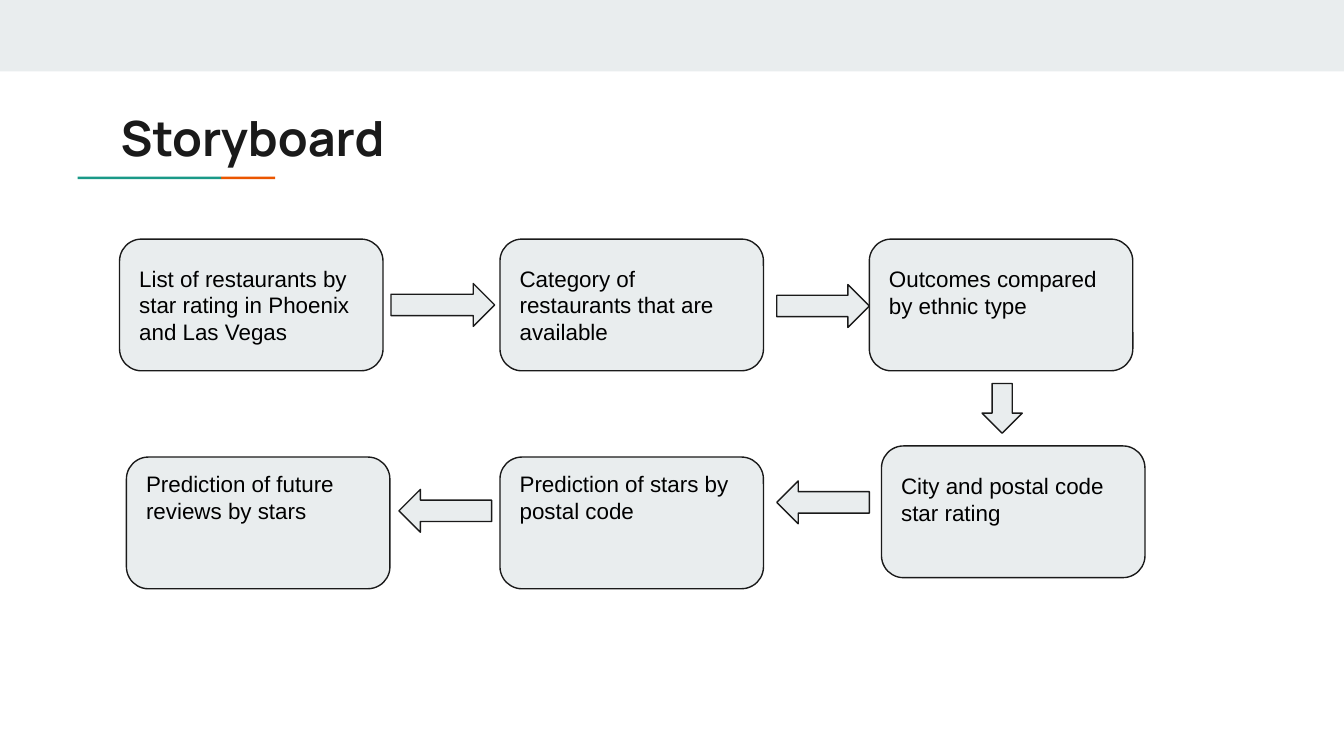
import pptx
import pptx.util
import pptx.dml.color
import pptx.enum.shapes
import pptx.enum.text

Cm, Pt = pptx.util.Cm, pptx.util.Pt
PRESET = pptx.enum.shapes.MSO_SHAPE
COLORS = {"panel": "E9EDEE", "ink": "1A1A1A", "text": "000000",
          "teal": "1A9988", "orange": "EB5600"}


def rgb(name):
    return pptx.dml.color.RGBColor.from_string(COLORS[name])


def add_block(preset, left, top, width, height, fill, outlined=True):
    block = slide.shapes.add_shape(preset, Cm(left), Cm(top), Cm(width), Cm(height))
    block.shadow.inherit = False
    block.fill.solid()
    block.fill.fore_color.rgb = rgb(fill)
    if outlined:
        block.line.color.rgb = rgb("ink")
        block.line.width = Pt(0.75)
    else:
        block.line.fill.background()
    return block


deck = pptx.Presentation()
deck.slide_width, deck.slide_height = Cm(25.4), Cm(14.29)
slide = deck.slides.add_slide(deck.slide_layouts[6])

# Top band and two-colour rule under the title
for left, top, width, height, fill in [
    (0, 0, 25.4, 1.35, "panel"),
    (4.18, 3.34, 1.02, 0.05, "orange"),
    (1.47, 3.34, 2.71, 0.05, "teal"),
]:
    add_block(PRESET.RECTANGLE, left, top, width, height, fill, outlined=False)

# Title
title = slide.shapes.add_textbox(Cm(2.03), Cm(1.8), Cm(21.36), Cm(1.5)).text_frame
title.word_wrap = True
title.margin_left = title.margin_right = Cm(0.25)
title.margin_top = title.margin_bottom = Cm(0.25)
heading = title.paragraphs[0]
heading.text = "Storyboard"
heading.font.name = "Manrope"
heading.font.size = Pt(26)
heading.font.bold = True
heading.font.color.rgb = rgb("ink")

# Steps: left, top, text, lines of room kept free below the text
LINE_HEIGHT = 0.49
steps = [
    (2.26, 4.52, "List of restaurants by star rating in Phoenix and Las Vegas", 0),
    (9.45, 4.52, "Category of restaurants that are available", 0),
    (16.43, 4.52, "Outcomes compared by ethnic type", 1),
    (16.66, 8.43, "City and postal code star rating", 1),
    (9.45, 8.64, "Prediction of stars by postal code", 2),
    (2.39, 8.64, "Prediction of future reviews by stars", 2),
]
for left, top, text, free_lines in steps:
    step = add_block(PRESET.ROUNDED_RECTANGLE, left, top, 4.98, 2.49, "panel").text_frame
    step.word_wrap = True
    step.vertical_anchor = pptx.enum.text.MSO_ANCHOR.MIDDLE
    step.margin_left = step.margin_right = Cm(0.25)
    step.margin_top = 0
    step.margin_bottom = Cm(free_lines * LINE_HEIGHT)
    label = step.paragraphs[0]
    label.text = text
    label.alignment = pptx.enum.text.PP_ALIGN.LEFT
    label.font.name = "Arial"
    label.font.size = Pt(12)
    label.font.color.rgb = rgb("text")

# Arrows from step to step: left, top, width, height, rotation
arrows = [
    (7.39, 5.36, 1.96, 0.81, 0),
    (14.68, 5.38, 1.75, 0.81, 0),
    (18.47, 7.34, 0.94, 0.76, 90),
    (14.68, 9.09, 1.75, 0.81, 180),
    (7.54, 9.25, 1.75, 0.81, 180),
]
for left, top, width, height, rotation in arrows:
    arrow = add_block(PRESET.RIGHT_ARROW, left, top, width, height, "panel")
    arrow.rotation = rotation

deck.save("out.pptx")
